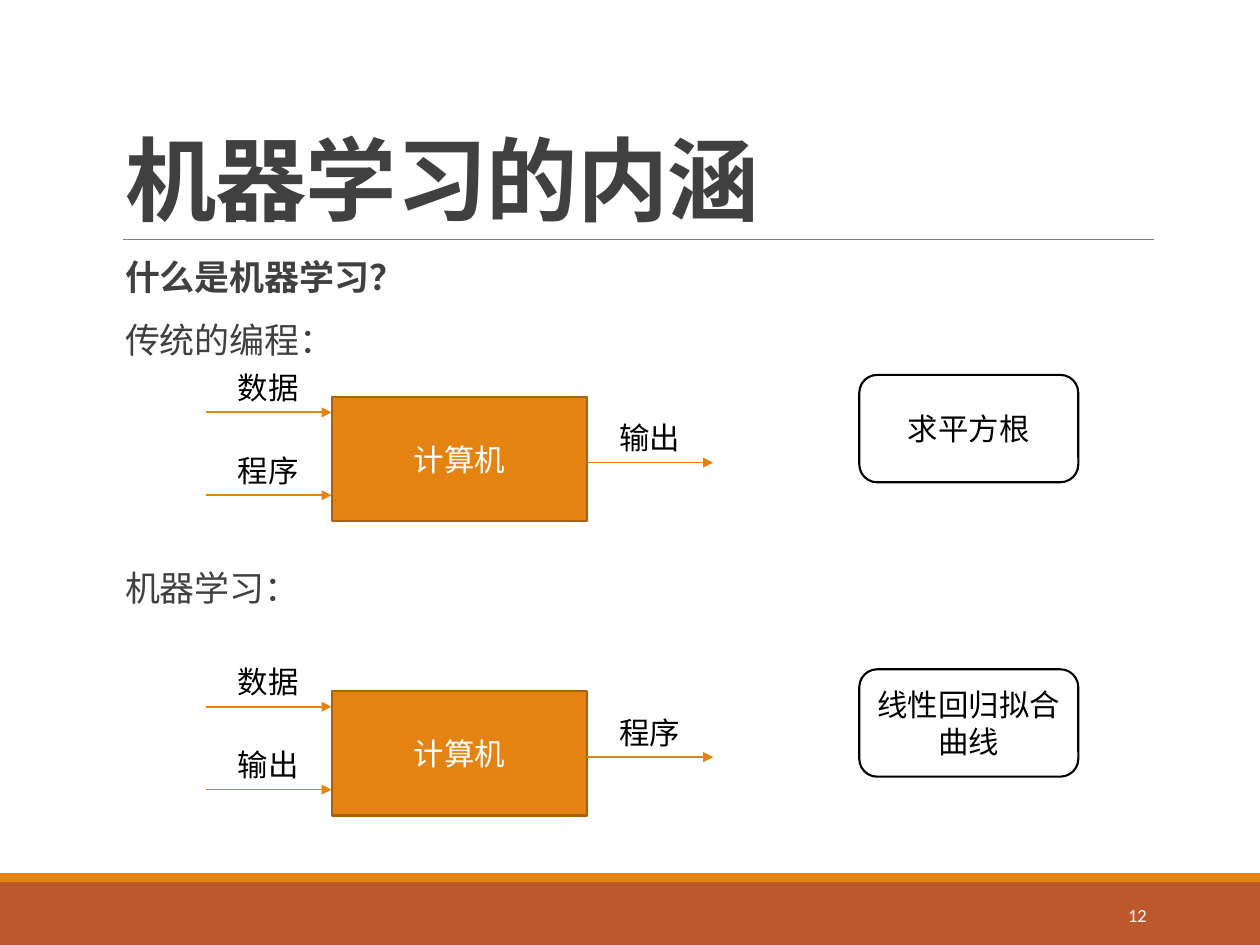
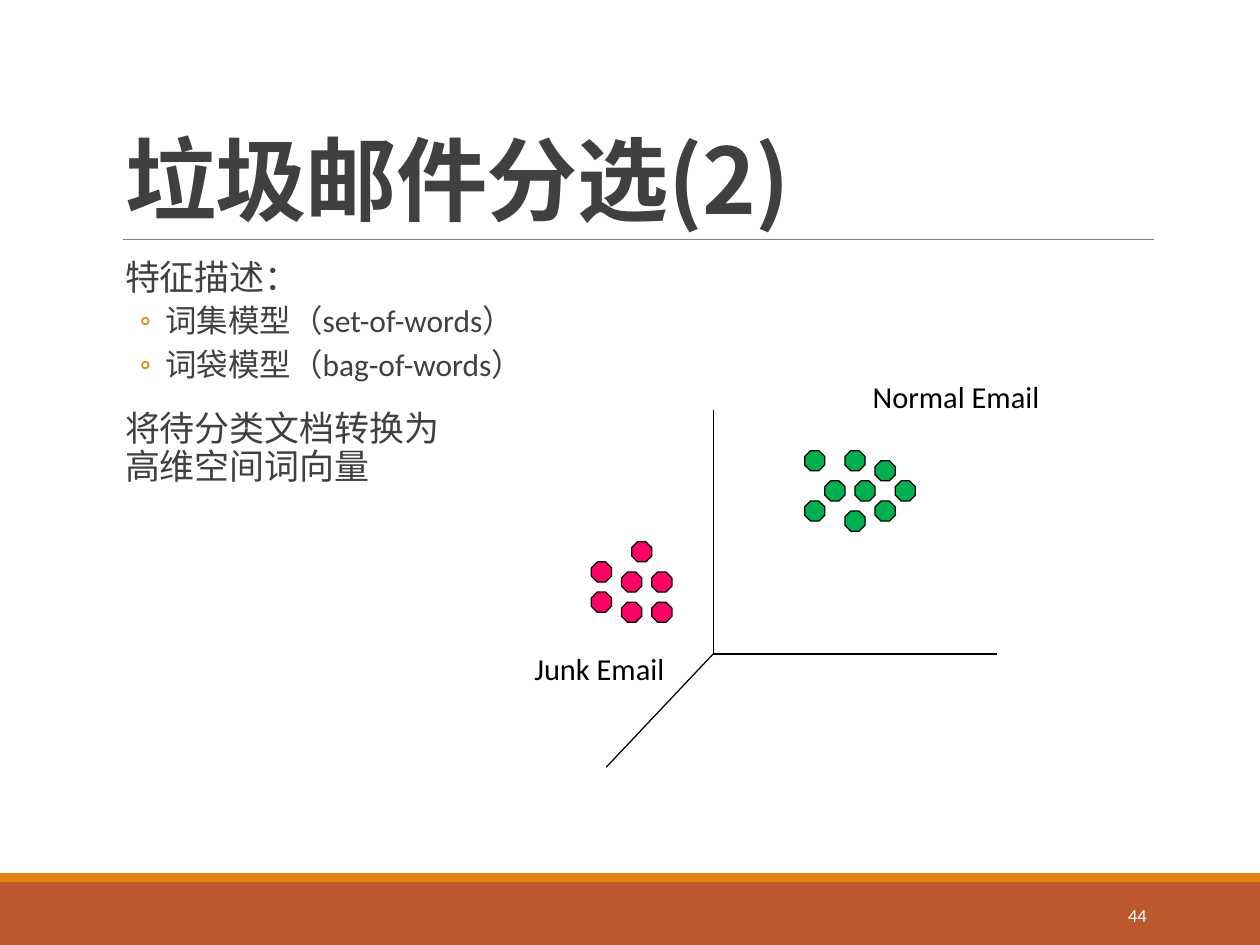
from lxml.etree import SubElement
from pptx import Presentation
from pptx.dml.color import RGBColor
from pptx.enum.shapes import MSO_CONNECTOR, MSO_SHAPE
from pptx.enum.text import MSO_ANCHOR, PP_ALIGN
from pptx.oxml.ns import qn
from pptx.util import Cm, Pt

WHITE = RGBColor(0xFF, 0xFF, 0xFF)
BLACK = RGBColor(0, 0, 0)
INK = RGBColor(0x40, 0x40, 0x40)
GRAY = RGBColor(0x80, 0x80, 0x80)
RUST = RGBColor(0xBD, 0x58, 0x2C)
AMBER = RGBColor(0xE4, 0x83, 0x12)
BROWN = RGBColor(0xA9, 0x61, 0x0D)
GREEN = RGBColor(0x00, 0xB0, 0x50)
PINK = RGBColor(0xFF, 0x00, 0x66)

LATIN = "Calibri"
HAN = "Noto Sans CJK SC"
WIDE, HIGH = 26.29, 19.71
LEFT, SPAN = 2.36, 21.69   # title and body column
STEP = 0.21                # dot grid; a dot is two steps wide
REACH = 2.63               # length of a flow arrow


# Basic elements
def style(para, size, color, name=LATIN, bold=False):
    font = para.font
    font.size, font.bold, font.name = Pt(size), bold, name
    font.color.rgb = color
    SubElement(font._rPr, qn("a:ea")).set("typeface", HAN)


def add_box(slide, x, y, w, h, wrap=True, anchor=MSO_ANCHOR.TOP):
    frame = slide.shapes.add_textbox(Cm(x), Cm(y), Cm(w), Cm(h)).text_frame
    frame.word_wrap, frame.vertical_anchor = wrap, anchor
    return frame


def add_label(slide, x, y, w, text):
    para = add_box(slide, x, y, w, 1.02, wrap=False).paragraphs[0]
    para.text = text
    style(para, 18, BLACK)


def add_shape(slide, kind, x, y, w, h, fill=None, line=None, width=1.25):
    shape = slide.shapes.add_shape(kind, Cm(x), Cm(y), Cm(w), Cm(h))
    shape.shadow.inherit = False
    if fill is None:
        shape.fill.background()
    else:
        shape.fill.solid()
        shape.fill.fore_color.rgb = fill
    if line is None:
        shape.line.fill.background()
    else:
        shape.line.color.rgb = line
        shape.line.width = Pt(width)
    return shape


def put_text(shape, text, color):
    frame = shape.text_frame
    frame.word_wrap, frame.vertical_anchor = True, MSO_ANCHOR.MIDDLE
    para = frame.paragraphs[0]
    para.text, para.alignment = text, PP_ALIGN.CENTER
    style(para, 18, color)


def add_line(slide, start, end, color, width, arrow=False):
    line = slide.shapes.add_connector(
        MSO_CONNECTOR.STRAIGHT, *map(Cm, start + end))
    line.line.color.rgb = color
    line.line.width = Pt(width)
    if arrow:
        SubElement(line.line._get_or_add_ln(),
                   qn("a:tailEnd")).set("type", "triangle")
    SubElement(line._element.spPr, qn("a:effectLst"))


# Shared frame of every slide
def add_slide(deck, title, number):
    slide = deck.slides.add_slide(deck.slide_layouts[6])
    add_shape(slide, MSO_SHAPE.RECTANGLE, 0, 18.4, WIDE, 1.31, RUST)
    add_shape(slide, MSO_SHAPE.RECTANGLE, 0, 18.21, WIDE, 0.19, AMBER)
    add_line(slide, (2.57, 5), (24.08, 5), GRAY, 0.5)

    head = add_box(slide, LEFT, 0.81, SPAN, 4.17,
                   anchor=MSO_ANCHOR.BOTTOM).paragraphs[0]
    head.text, head.line_spacing = title, 0.85
    style(head, 54, INK, HAN, True)
    head.font._rPr.set("spc", "-50")

    page = add_box(slide, 21.36, 18.57, 2.82, 1.04,
                   anchor=MSO_ANCHOR.MIDDLE).paragraphs[0]
    page.text, page.alignment = str(number), PP_ALIGN.RIGHT
    style(page, 10.9, WHITE)
    return slide


# Body text: a paragraph is plain or a bullet point
def set_indent(para, left, hang=0.0):
    props = para._p.get_or_add_pPr()
    props.set("marL", str(Cm(left)))
    props.set("indent", str(-Cm(hang)))
    return props


def add_para(frame, text, point=False, bold=False, before=12.4):
    first = not frame.text
    para = frame.paragraphs[0] if first else frame.add_paragraph()
    para.text, para.line_spacing = text, 0.9
    if not first:
        para.space_before = Pt(2.1 if point else before)
    para.space_after = Pt(4.1 if point else 2.1)
    if point:
        props = set_indent(para, 1.09, 0.53)
        tint = SubElement(props, qn("a:buClr"))
        SubElement(tint, qn("a:srgbClr")).set("val", str(AMBER))
        SubElement(props, qn("a:buFont")).set("typeface", LATIN)
        SubElement(props, qn("a:buChar")).set("char", "◦")
    else:
        set_indent(para, 0.25)
    style(para, 18.6 if point else 20.7, INK, bold=bold)


def add_body(slide):
    frame = add_box(slide, LEFT, 5.31, SPAN, 11.56)
    frame.margin_left = frame.margin_right = 0
    return frame


# Flow of inputs through a computer, with an example at the right
def add_arrow(slide, x, y, text):
    add_line(slide, (x, y), (x + REACH, y), AMBER, 1, arrow=True)
    add_label(slide, x + 0.42, y - 1.03, 1.8, text)


def add_flow(slide, top, inputs, output, case):
    left, width = 6.92, 5.33
    core = add_shape(slide, MSO_SHAPE.RECTANGLE, left, top, width, 2.59,
                     AMBER, BROWN)
    put_text(core, "计算机", WHITE)
    for row, text in enumerate(inputs):
        add_arrow(slide, left - REACH, top + 0.32 + 1.73 * row, text)
    add_arrow(slide, left + width, top + 1.37, output)
    card = add_shape(slide, MSO_SHAPE.ROUNDED_RECTANGLE, 17.93, top - 0.46,
                     4.57, 2.24, line=BLACK)
    put_text(card, case, BLACK)


# Cluster of dots placed on the grid
def add_dots(slide, x, y, color, cells):
    for col, row in cells:
        add_shape(slide, MSO_SHAPE.OCTAGON, x + col * STEP, y + row * STEP,
                  2 * STEP, 2 * STEP, color, BLACK, 0.75)


def add_meaning(deck):
    slide = add_slide(deck, "机器学习的内涵", 12)
    body = add_body(slide)
    add_para(body, "什么是机器学习？", bold=True)
    add_para(body, "传统的编程：")
    add_para(body, "机器学习：", before=122.5)
    add_flow(slide, 8.28, ("数据", "程序"), "输出", "求平方根")
    add_flow(slide, 14.42, ("数据", "输出"), "程序", "线性回归拟合曲线")


def add_spam(deck):
    slide = add_slide(deck, "垃圾邮件分选(2)", 44)
    body = add_body(slide)
    add_para(body, "特征描述：")
    add_para(body, "词集模型（set-of-words）", point=True)
    add_para(body, "词袋模型（bag-of-words）", point=True)
    add_para(body, "将待分类文档转换为\n高维空间词向量")

    # Axes
    for end in ((14.88, 8.56), (20.8, 13.64), (12.65, 16)):
        add_line(slide, (14.88, 13.64), end, BLACK, 0.75)

    # Mail clusters
    add_dots(slide, 16.79, 9.4, GREEN, (
        (2, 3), (5, 3), (4, 0), (4, 6), (9, 3), (7, 1), (0, 0), (7, 5),
        (0, 5)))
    add_dots(slide, 12.34, 11.3, PINK, (
        (0, 2), (3, 3), (3, 6), (6, 3), (4, 0), (6, 6), (0, 5)))
    add_label(slide, 10.9, 13.44, 3.25, "Junk Email")
    add_label(slide, 17.96, 7.77, 4.04, "Normal Email")


def main():
    deck = Presentation()
    deck.slide_width, deck.slide_height = Cm(WIDE), Cm(HIGH)
    add_meaning(deck)
    add_spam(deck)
    deck.save("out.pptx")


if __name__ == "__main__":
    main()
